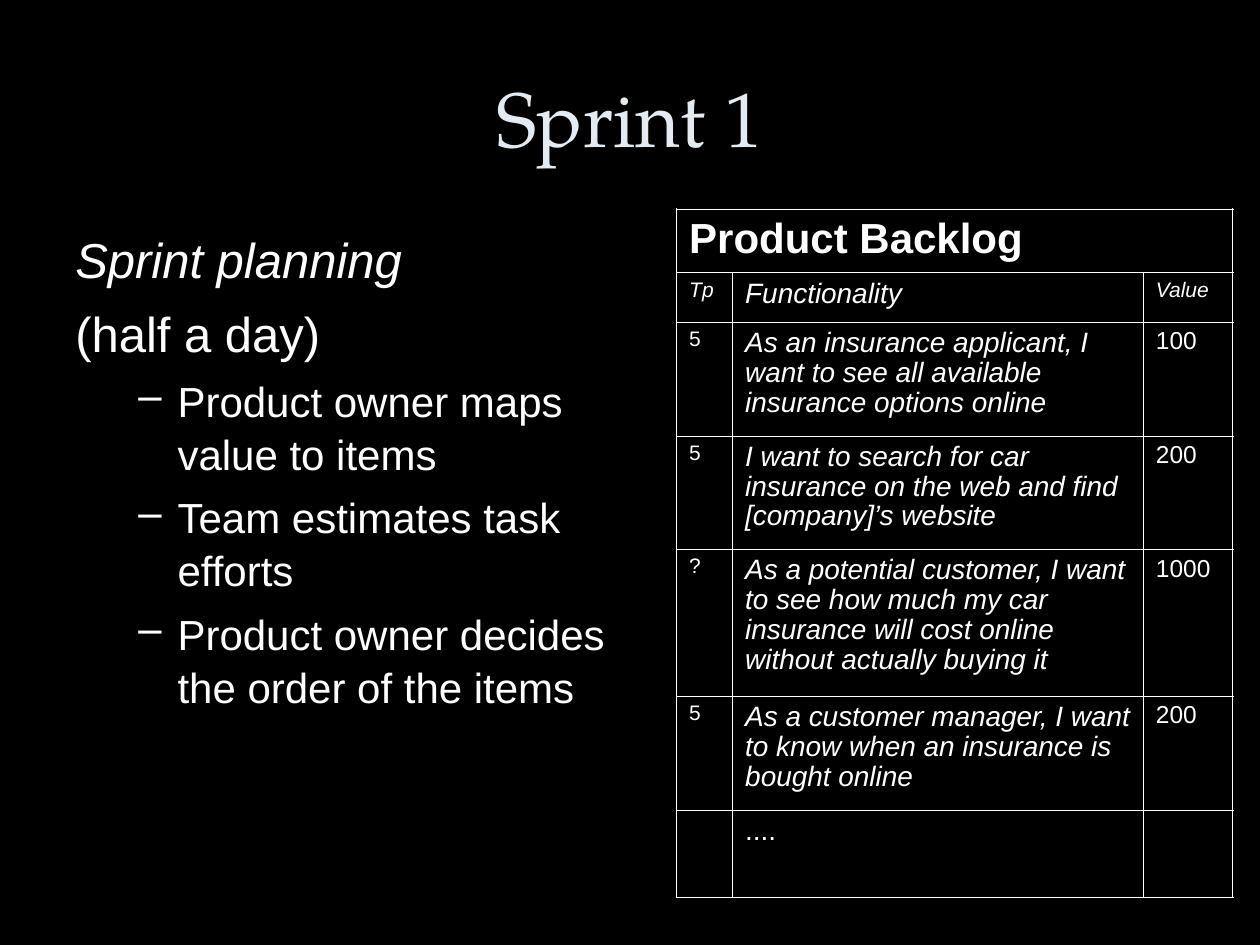
from lxml import etree
from pptx import Presentation
from pptx import util as u
from pptx.dml.color import RGBColor
from pptx.enum import text
from pptx.oxml.ns import qn

TITLE = "Sprint 1"
PLAN = [("Sprint planning", True), ("(half a day)", False)]
STEPS = [
    "Product owner maps value to items",
    "Team estimates task efforts",
    "Product owner decides the order of the items",
]
HEAD = "Product Backlog"
ROWS = [
    ("Tp", "Functionality", "Value"),
    ("5", "As an insurance applicant, I want to see all available insurance options online", "100"),
    ("5", "I want to search for car insurance on the web and find [company]’s website", "200"),
    ("?", "As a potential customer, I want to see how much my car insurance will cost online "
          "without actually buying it", "1000"),
    ("5", "As a customer manager, I want to know when an insurance is bought online", "200"),
    ("", "....", ""),
]
WIDE = [1.13, 8.28, 1.8]
HIGH = [1.28, 1, 2.29, 2.29, 2.96, 2.29, 1.76]
COLORS = {"back": "000000", "ink": "FFFFFF", "title": "E3EBF1"}
THICK, THIN = 1.08, 0.45


def rgb(name):
    return RGBColor.from_string(COLORS[name])


def write(frame, words, size, font="Arial", color="ink", bold=False, italic=False,
          first=True, before=0, line=1, align=text.PP_ALIGN.LEFT, bullet=None):
    para = frame.paragraphs[0] if first else frame.add_paragraph()
    para.text = words
    para.alignment = align
    para.space_before = u.Pt(before)
    para.line_spacing = line
    if bullet:
        props = para._p.get_or_add_pPr()
        props.set("marL", str(u.Cm(2.06)))
        props.set("indent", str(-u.Cm(0.79)))
        etree.SubElement(props, qn("a:buChar")).set("char", bullet)
    run = para.runs[0].font
    run.size, run.name = u.Pt(size), font
    run.bold, run.italic = bold, italic
    run.color.rgb = rgb(color)


def edge(cell, side, width):
    props = cell._tc.get_or_add_tcPr()
    line = etree.SubElement(props, qn("a:ln" + side), w=str(u.Pt(width)))
    fill = etree.SubElement(line, qn("a:solidFill"))
    etree.SubElement(fill, qn("a:srgbClr"), val=COLORS["ink"])


def style(row, col):
    if row == 1:
        return {"size": 16 if col == 1 else 12, "italic": True}
    return {"size": (12, 16, 14)[col], "italic": col == 1 and row < len(ROWS)}


def add_plan(slide):
    box = slide.shapes.add_textbox(u.Cm(1.27), u.Cm(4.45), u.Cm(11.23), u.Cm(12.57))
    frame = box.text_frame
    frame.word_wrap = True
    for i, (words, italic) in enumerate(PLAN):
        write(frame, words, 28, italic=italic, first=i == 0, before=7 if i else 0, line=1.05)
    for words in STEPS:
        write(frame, words, 24, first=False, before=6, line=1.05, bullet="–")


def add_backlog(slide):
    grid = slide.shapes.add_table(len(HIGH), len(WIDE), u.Cm(13.64), u.Cm(4.22),
                                  u.Cm(sum(WIDE)), u.Cm(sum(HIGH))).table
    grid.first_row = grid.horz_banding = False
    for col, width in zip(grid.columns, WIDE):
        col.width = u.Cm(width)
    for row, height in zip(grid.rows, HIGH):
        row.height = u.Cm(height)
    grid.cell(0, 0).merge(grid.cell(0, 2))
    last = len(HIGH) - 1
    for r, words in enumerate([(HEAD, "", "")] + ROWS):
        for c, word in enumerate(words):
            cell = grid.cell(r, c)
            outer = {"L": c == 0, "R": c == 2 or r == 0, "T": r == 0, "B": r == last}
            for side, rim in outer.items():
                edge(cell, side, THICK if rim else THIN)
            cell.fill.background()
            if r == 0 and word:
                write(cell.text_frame, word, 24, bold=True)
            elif word:
                write(cell.text_frame, word, line=0.96, **style(r, c))


def main():
    deck = Presentation()
    deck.slide_width, deck.slide_height = u.Cm(25.4), u.Cm(19.05)
    slide = deck.slides.add_slide(deck.slide_layouts[5])
    slide.background.fill.solid()
    slide.background.fill.fore_color.rgb = rgb("back")
    title = slide.shapes.title
    title.left, title.top = u.Cm(1.27), u.Cm(0.76)
    title.width, title.height = u.Cm(22.86), u.Cm(3.18)
    title.text_frame.vertical_anchor = text.MSO_ANCHOR.MIDDLE
    write(title.text_frame, TITLE, 44, font="TeX Gyre Pagella", color="title",
          align=text.PP_ALIGN.CENTER)
    add_plan(slide)
    add_backlog(slide)
    deck.save("out.pptx")


if __name__ == "__main__":
    main()
